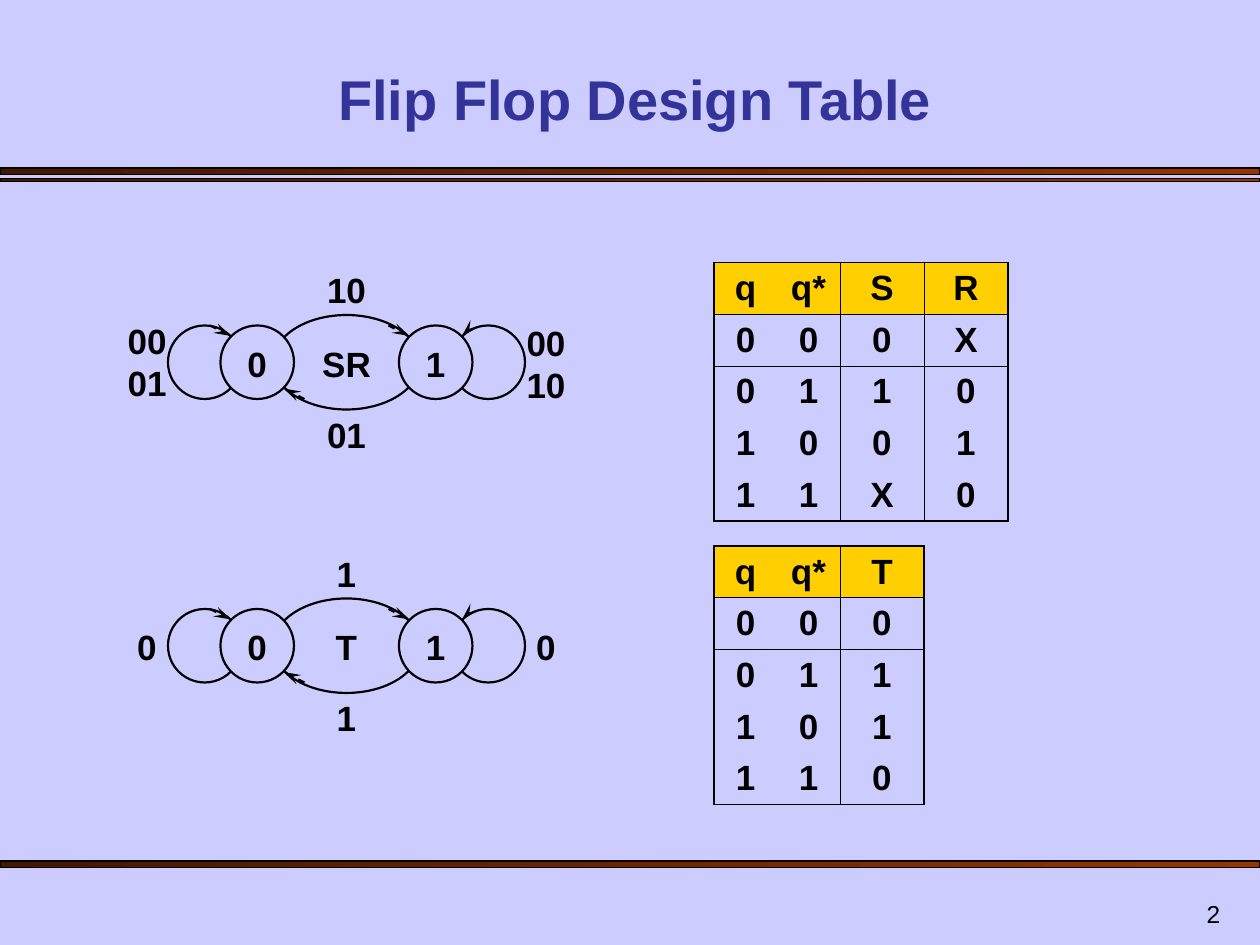
"""Builds the flip flop design table slide with state diagrams and excitation tables."""
from dataclasses import dataclass
from typing import Any

from lxml.etree import SubElement
from pptx import Presentation
from pptx.dml.color import RGBColor
from pptx.enum.shapes import MSO_CONNECTOR as Connector, MSO_SHAPE as Shape
from pptx.enum.text import MSO_ANCHOR as Anchor, MSO_AUTO_SIZE as AutoSize, PP_ALIGN as Align
from pptx.oxml.ns import qn
from pptx.util import Pt

COLORS = {"page": "CCCCFF", "ink": "000000", "title": "333399", "header": "FFCF01",
          "rust": "993300", "brown": "461700"}
PLAIN_TABLE = "{2D5ABB26-0587-4C30-8999-92F81FD0307C}"
OUTER, INNER = 1.08, 0.45


def rgb(name):
    return RGBColor.from_string(COLORS[name])


def points(*values):
    return [Pt(value) for value in values]


@dataclass
class SlideBuilder:
    page: Any
    font: str = "Arial"
    size: float = 20
    stroke: float = 1.25

    def style(self, para, size, color="ink", bold=True, align=Align.CENTER):
        para.alignment = align
        para.font.name, para.font.size, para.font.bold = self.font, Pt(size), bold
        para.font.color.rgb = rgb(color)

    def background(self):
        fill = self.page.background.fill
        fill.solid()
        fill.fore_color.rgb = rgb("page")

    def title(self, text, left, top, width, height):
        box = self.page.shapes.title
        box.left, box.top, box.width, box.height = points(left, top, width, height)
        box.text_frame.text = text
        box.text_frame.vertical_anchor = Anchor.BOTTOM
        self.style(box.text_frame.paragraphs[0], 32, "title")

    def bar(self, top, height):
        bar = self.page.shapes.add_shape(Shape.RECTANGLE, *points(0, top, 720, height))
        bar.shadow.inherit = False
        bar.fill.gradient()
        bar.fill.gradient_angle = 180
        for stop, name in zip(bar.fill.gradient_stops, ("rust", "brown")):
            stop.color.rgb = rgb(name)
        bar.line.color.rgb, bar.line.width = rgb("ink"), Pt(0.75)

    def label(self, shapes, text, left, top, width, height=31.7):
        box = shapes.add_textbox(*points(left, top, width, height))
        box.text_frame.word_wrap = True
        box.text_frame.auto_size = AutoSize.SHAPE_TO_FIT_TEXT
        para = box.text_frame.paragraphs[0]
        para.text = text
        self.style(para, self.size)

    def page_number(self, text, left, top, width, height):
        box = self.page.shapes.add_textbox(*points(left, top, width, height))
        box.text_frame.word_wrap = True
        box.text_frame.vertical_anchor = Anchor.BOTTOM
        para = box.text_frame.paragraphs[0]
        para.text = text
        self.style(para, 14, bold=False, align=Align.RIGHT)

    def ellipse(self, shapes, left, top, width, height, filled=True):
        oval = shapes.add_shape(Shape.OVAL, *points(left, top, width, height))
        oval.shadow.inherit = False
        if filled:
            oval.fill.solid()
            oval.fill.fore_color.rgb = rgb("page")
        else:
            oval.fill.background()
        oval.line.color.rgb, oval.line.width = rgb("ink"), Pt(self.stroke)

    def arrow(self, shapes, *ends):
        arrow = shapes.add_connector(Connector.STRAIGHT, *points(*ends))
        arrow.line.color.rgb, arrow.line.width = rgb("ink"), Pt(self.stroke)
        SubElement(arrow.line._get_or_add_ln(), qn("a:tailEnd"), type="stealth", w="med", len="lg")
        SubElement(arrow._element.spPr, qn("a:effectLst"))

    def state_diagram(self, top, name, name_width, set_text, reset_text, stay_zero, stay_one):
        shapes = self.page.shapes.add_group_shape().shapes
        center = 198
        self.ellipse(shapes, 156, top, 84, 54, filled=False)
        for left in (258, 96):
            self.ellipse(shapes, left, top + 6, 42, 42)
        for text, left in (("0", 126), ("1", 228)):
            self.ellipse(shapes, left, top + 6, 42, 42)
            self.label(shapes, text, left + 6, top + 12, 30)
        for x1, y1, x2, y2 in ((120, 6, 132, 12), (270, 6, 264, 12),
                               (222, 6, 234, 12), (174, 48, 162, 42)):
            self.arrow(shapes, x1, top + y1, x2, top + y2)
        edge_width = 48 if len(set_text) > 1 else 36
        for text, offset, width in ((reset_text, 52.5, edge_width), (set_text, -30, edge_width),
                                    (name, 12, name_width)):
            self.label(shapes, text, center - width / 2, top + offset, width)
        for (text, offset), middle in ((stay_zero, 84), (stay_one, 312)):
            height = 55.7 if "\n" in text else 31.7
            self.label(shapes, text, middle - edge_width / 2, top + offset, edge_width, height)

    def border(self, cell, side, width):
        line = SubElement(cell._tc.get_or_add_tcPr(), qn(f"a:ln{side}"), w=str(Pt(width)))
        SubElement(SubElement(line, qn("a:solidFill")), qn("a:srgbClr"), val=COLORS["ink"])

    def truth_table(self, left, top, widths, rows):
        last_row, last_column = len(rows) - 1, len(widths) - 1
        frame = self.page.shapes.add_table(len(rows), len(widths),
                                           *points(left, top, sum(widths), 24 * len(rows)))
        table = frame.table
        table.first_row = table.horz_banding = False
        table._tbl.tblPr.find(qn("a:tableStyleId")).text = PLAIN_TABLE
        for column, width in zip(table.columns, widths):
            column.width = Pt(width)
        for r, row in enumerate(rows):
            table.rows[r].height = Pt(24)
            for c, text in enumerate(row):
                cell = table.cell(r, c)
                para = cell.text_frame.paragraphs[0]
                para.text = text
                self.style(para, self.size)
                for side, index, edges in (("L", c, {0: OUTER, 2: INNER}),
                                           ("R", c, {1: INNER, last_column: OUTER}),
                                           ("T", r, {0: OUTER, 1: INNER}),
                                           ("B", r, {0: INNER, last_row: OUTER})):
                    if index in edges:
                        self.border(cell, side, edges[index])
                if r == 0:
                    cell.fill.solid()
                    cell.fill.fore_color.rgb = rgb("header")
                else:
                    cell.fill.background()


def main():
    deck = Presentation()
    deck.slide_width, deck.slide_height = points(720, 540)
    builder = SlideBuilder(deck.slides.add_slide(deck.slide_layouts[5]))
    builder.background()
    for top, height in ((96, 3.6), (102.2, 1.4), (492, 3.6)):
        builder.bar(top, height)
    builder.title("Flip Flop Design Table", 42, 30, 642, 49)
    builder.truth_table(408, 312, [36, 36, 48],
                        [("q", "q*", "T"), "000", "011", "101", "110"])
    builder.truth_table(408, 150, [36, 36, 48, 48],
                        [("q", "q*", "S", "R"), "000X", "0110", "1001", "11X0"])
    builder.state_diagram(180, "SR", 60, "10", "01", ("00\n01", -1.2), ("00\n10", 0))
    builder.state_diagram(342, "T", 36, "1", "1", ("0", 12), ("0", 12))
    builder.page_number("2", 554.4, 504, 150, 30)
    deck.save("out.pptx")


if __name__ == "__main__":
    main()
